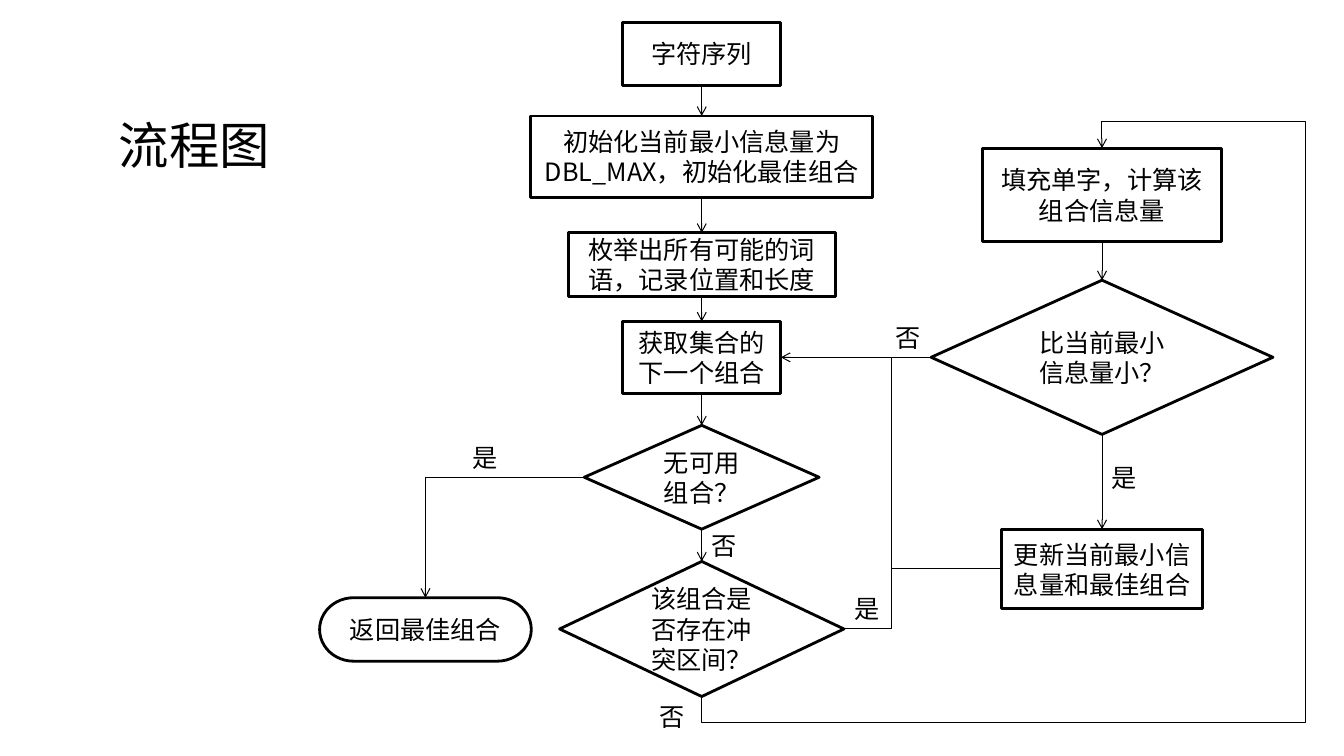
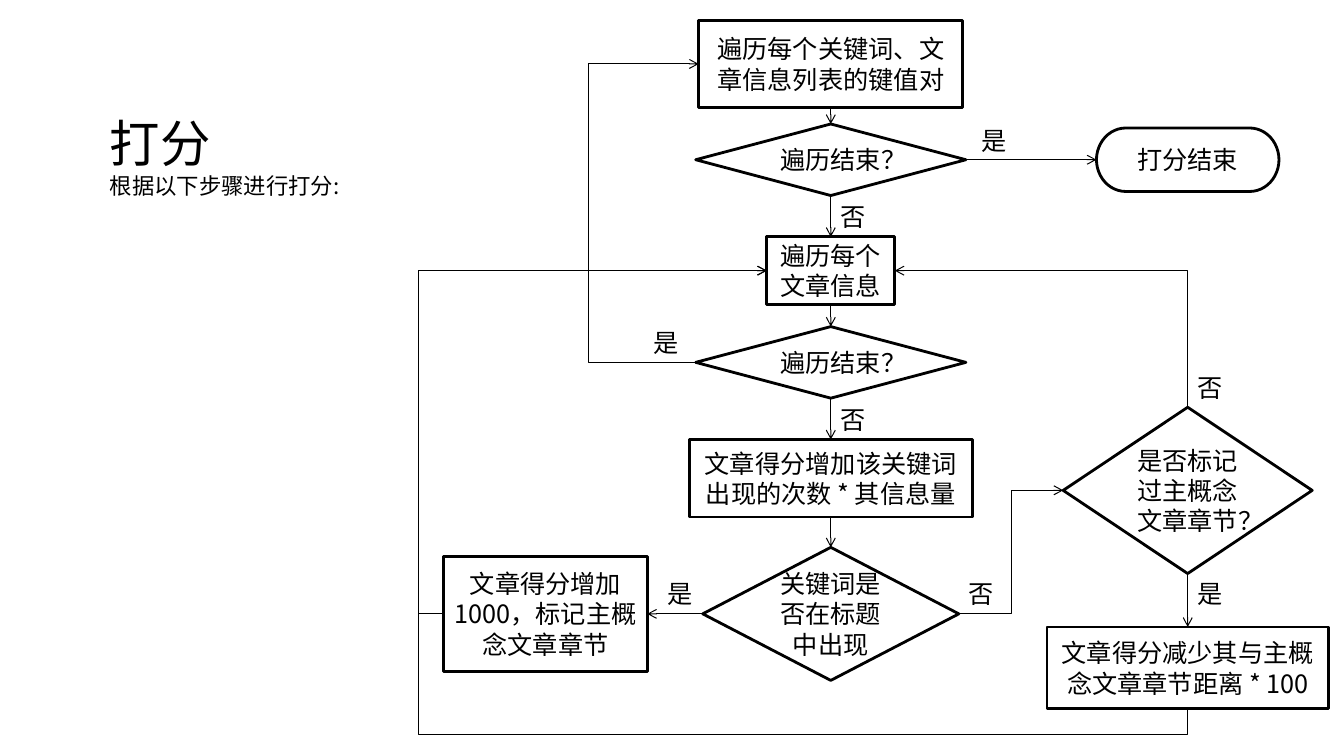
"""Build two flowchart slides: word segmentation and article scoring."""
from dataclasses import dataclass

from lxml.etree import SubElement
from pptx import Presentation
from pptx.dml.color import RGBColor
from pptx.enum.shapes import MSO_CONNECTOR as Link, MSO_SHAPE as Shape
from pptx.enum.text import MSO_ANCHOR as Anchor, MSO_AUTO_SIZE as Fit, PP_ALIGN as Align
from pptx.oxml.ns import qn
from pptx.util import Inches, Pt


@dataclass(frozen=True)
class Theme:
    """Colours, fonts, type sizes and line widths."""
    ink: RGBColor = RGBColor(0, 0, 0)
    paper: RGBColor = RGBColor(255, 255, 255)
    font: str = "Noto Sans CJK SC"
    plain_font: str = "Arial"
    title: int = 36
    subtitle: int = 16
    body: int = 18
    outline: float = 2
    link: float = 0.75


THEME = Theme()
STEP, CHOICE, END = (Shape.FLOWCHART_PROCESS, Shape.FLOWCHART_DECISION,
                     Shape.FLOWCHART_TERMINATOR)
SIDES = ("top", "left", "bottom", "right")
LABEL_SIZE = (0.45, 0.4)

# Nodes: key -> kind, column centre, top, width, height, text.
# Links: source, side, target, side, turns, arrowhead.
SEGMENTATION = {
    "title": (1.08, 1.08, 2.29, 0.7),
    "heading": [("流程图", THEME.title)],
    "nodes": {
        "input": (STEP, 6.96, 0.22, 1.57, 0.63, "字符序列"),
        "init": (STEP, 6.96, 1.15, 3.39, 0.81,
                 "初始化当前最小信息量为DBL_MAX，初始化最佳组合"),
        "list": (STEP, 6.96, 2.31, 2.65, 0.63, "枚举出所有可能的词语，记录位置和长度"),
        "next": (STEP, 6.96, 3.19, 1.57, 0.71, "获取集合的下一个组合"),
        "empty": (CHOICE, 6.96, 4.22, 2.33, 1.03, "无可用组合？"),
        "conflict": (CHOICE, 6.96, 5.57, 2.82, 1.34, "该组合是否存在冲突区间？"),
        "fill": (STEP, 10.93, 1.47, 2.37, 0.93, "填充单字，计算该组合信息量"),
        "smaller": (CHOICE, 10.93, 2.78, 3.39, 1.53, "比当前最小信息量小？"),
        "update": (STEP, 10.93, 5.25, 1.99, 0.79, "更新当前最小信息量和最佳组合"),
        "result": (END, 4.22, 5.93, 2.1, 0.63, "返回最佳组合"),
    },
    "chains": [("input", "init", "list", "next", "empty", "conflict"),
               ("fill", "smaller", "update")],
    "links": [
        ("conflict", "bottom", "fill", "top", (7.17, 12.95, 1.21), True),
        ("empty", "left", "result", "top", (), True),
        ("smaller", "left", "next", "right", None, True),
        ("update", "left", "next", "right", (8.84,), False),
        ("conflict", "right", "next", "right", (8.84,), False),
    ],
    "labels": [("是", 4.59, 4.34), ("否", 6.96, 5.21), ("是", 8.38, 5.84),
               ("否", 6.44, 6.91, THEME.plain_font), ("是", 10.93, 4.54),
               ("否", 8.78, 3.15)],
}
SCORING = {
    "title": (0.99, 1.06, 2.55, 0.97),
    "heading": [("打分", THEME.title), ("根据以下步骤进行打分:", THEME.subtitle)],
    "nodes": {
        "keyword": (STEP, 8.24, 0.2, 2.62, 0.87, "遍历每个关键词、文章信息列表的键值对"),
        "keywords_done": (CHOICE, 8.24, 1.23, 2.68, 0.71, "遍历结束？"),
        "article": (STEP, 8.24, 2.35, 1.27, 0.67, "遍历每个文章信息"),
        "articles_done": (CHOICE, 8.24, 3.24, 2.68, 0.71, "遍历结束？"),
        "add": (STEP, 8.24, 4.36, 2.81, 0.77, "文章得分增加该关键词出现的次数 * 其信息量"),
        "in_title": (CHOICE, 8.24, 5.43, 2.54, 1.32, "关键词是否在标题中出现"),
        "bonus": (STEP, 5.41, 5.52, 2.02, 1.14, "文章得分增加1000，标记主概念文章章节"),
        "marked": (CHOICE, 11.78, 4.04, 2.47, 1.65, "是否标记过主概念文章章节？"),
        "reduce": (STEP, 11.78, 6.22, 2.79, 0.81, "文章得分减少其与主概念文章章节距离 * 100"),
        "finish": (END, 11.78, 1.27, 1.81, 0.63, "打分结束"),
    },
    "chains": [("keyword", "keywords_done", "article", "articles_done", "add", "in_title"),
               ("marked", "reduce")],
    "links": [
        ("in_title", "right", "marked", "left", (10.03,), True),
        ("articles_done", "left", "keyword", "left", (5.83,), True),
        ("keywords_done", "right", "finish", "left", None, True),
        ("in_title", "left", "bonus", "right", None, True),
        ("bonus", "left", "article", "left", (4.15,), True),
        ("reduce", "bottom", "article", "left", (7.29, 4.15), True),
        ("marked", "top", "article", "right", (), True),
    ],
    "labels": [("否", 8.24, 1.95), ("是", 9.64, 1.19), ("否", 8.24, 3.96),
               ("是", 6.38, 3.2), ("是", 6.52, 5.69), ("否", 9.51, 5.69),
               ("是", 11.78, 5.69), ("否", 11.78, 3.64)],
}


def write(paragraph, text, size=THEME.body, font=THEME.font, align=Align.LEFT):
    """Put one formatted run into a paragraph."""
    paragraph.alignment = align
    run = paragraph.add_run()
    run.text = text
    run.font.size = Pt(size)
    run.font.name = font
    run.font.color.rgb = THEME.ink
    SubElement(run.font._element, qn("a:ea"), typeface=font)


def add_heading(slide, box, lines):
    """Move the title placeholder and fill it line by line."""
    title = slide.shapes.title
    title.left, title.top, title.width, title.height = map(Inches, box)
    frame = title.text_frame
    frame.vertical_anchor = Anchor.TOP
    frame.auto_size = Fit.SHAPE_TO_FIT_TEXT
    for index, (text, size) in enumerate(lines):
        paragraph = frame.add_paragraph() if index else frame.paragraphs[0]
        write(paragraph, text, size=size)


def add_node(slide, kind, centre, top, width, height, text):
    """Draw one flowchart node centred on its column."""
    node = slide.shapes.add_shape(
        kind, *map(Inches, (centre - width / 2, top, width, height)))
    node.shadow.inherit = False
    node.fill.solid()
    node.fill.fore_color.rgb = THEME.paper
    node.line.color.rgb = THEME.ink
    node.line.width = Pt(THEME.outline)
    node.text_frame.word_wrap = True
    node.text_frame.vertical_anchor = Anchor.MIDDLE
    write(node.text_frame.paragraphs[0], text, align=Align.CENTER)
    return node


def bend(link, upright, turns):
    """Route an elbow link through turns that alternate between the axes."""
    start = (link.begin_x, link.begin_y)
    delta = (link.end_x - start[0], link.end_y - start[1])
    geometry = link._element.spPr.find(qn("a:prstGeom"))
    geometry.set("prst", f"bentConnector{len(turns) + 2}")
    guides = geometry.find(qn("a:avLst"))
    if guides is None:
        guides = SubElement(geometry, qn("a:avLst"))
    for index, turn in enumerate(turns):
        axis = (index + upright) % 2
        share = round((Inches(turn) - start[axis]) / delta[axis] * 100000)
        SubElement(guides, qn("a:gd"), name=f"adj{index + 1}", fmla=f"val {share}")
    if upright:
        across, down = delta[1], -delta[0]
        link.left = start[0] + (delta[0] - abs(across)) // 2
        link.top = start[1] + (delta[1] - abs(down)) // 2
        link.width, link.height = abs(across), abs(down)
        frame = link._element.spPr.find(qn("a:xfrm"))
        frame.set("rot", str(90 * 60000))
        frame.set("flipH", str(int(across < 0)))
        frame.set("flipV", str(int(down < 0)))


def add_link(slide, nodes, source, leave, target, arrive, turns=None, arrow=True):
    """Join two nodes; turns of None means a straight link."""
    kind = Link.STRAIGHT if turns is None else Link.ELBOW
    link = slide.shapes.add_connector(kind, 0, 0, 0, 0)
    link.begin_connect(nodes[source], SIDES.index(leave))
    link.end_connect(nodes[target], SIDES.index(arrive))
    if turns is not None:
        bend(link, leave in ("top", "bottom"), turns)
    link.line.color.rgb = THEME.ink
    link.line.width = Pt(THEME.link)
    properties = link._element.spPr
    if arrow:
        SubElement(properties.find(qn("a:ln")), qn("a:tailEnd"), type="arrow")
    SubElement(properties, qn("a:effectLst"))


def add_label(slide, text, left, top, font=THEME.font):
    """Write a branch label beside its link."""
    label = slide.shapes.add_textbox(*map(Inches, (left, top, *LABEL_SIZE)))
    label.text_frame.word_wrap = False
    label.text_frame.auto_size = Fit.SHAPE_TO_FIT_TEXT
    write(label.text_frame.paragraphs[0], text, font=font)


def add_flowchart(deck, chart):
    """Add one slide holding a heading and its flowchart."""
    slide = deck.slides.add_slide(deck.slide_layouts.get_by_name("Title Only"))
    add_heading(slide, chart["title"], chart["heading"])
    nodes = {key: add_node(slide, *node) for key, node in chart["nodes"].items()}
    for chain in chart["chains"]:
        for source, target in zip(chain, chain[1:]):
            add_link(slide, nodes, source, "bottom", target, "top")
    for link in chart["links"]:
        add_link(slide, nodes, *link)
    for label in chart["labels"]:
        add_label(slide, *label)


deck = Presentation()
deck.slide_width, deck.slide_height = Inches(13.33), Inches(7.5)
for flowchart in (SEGMENTATION, SCORING):
    add_flowchart(deck, flowchart)
deck.save("out.pptx")
